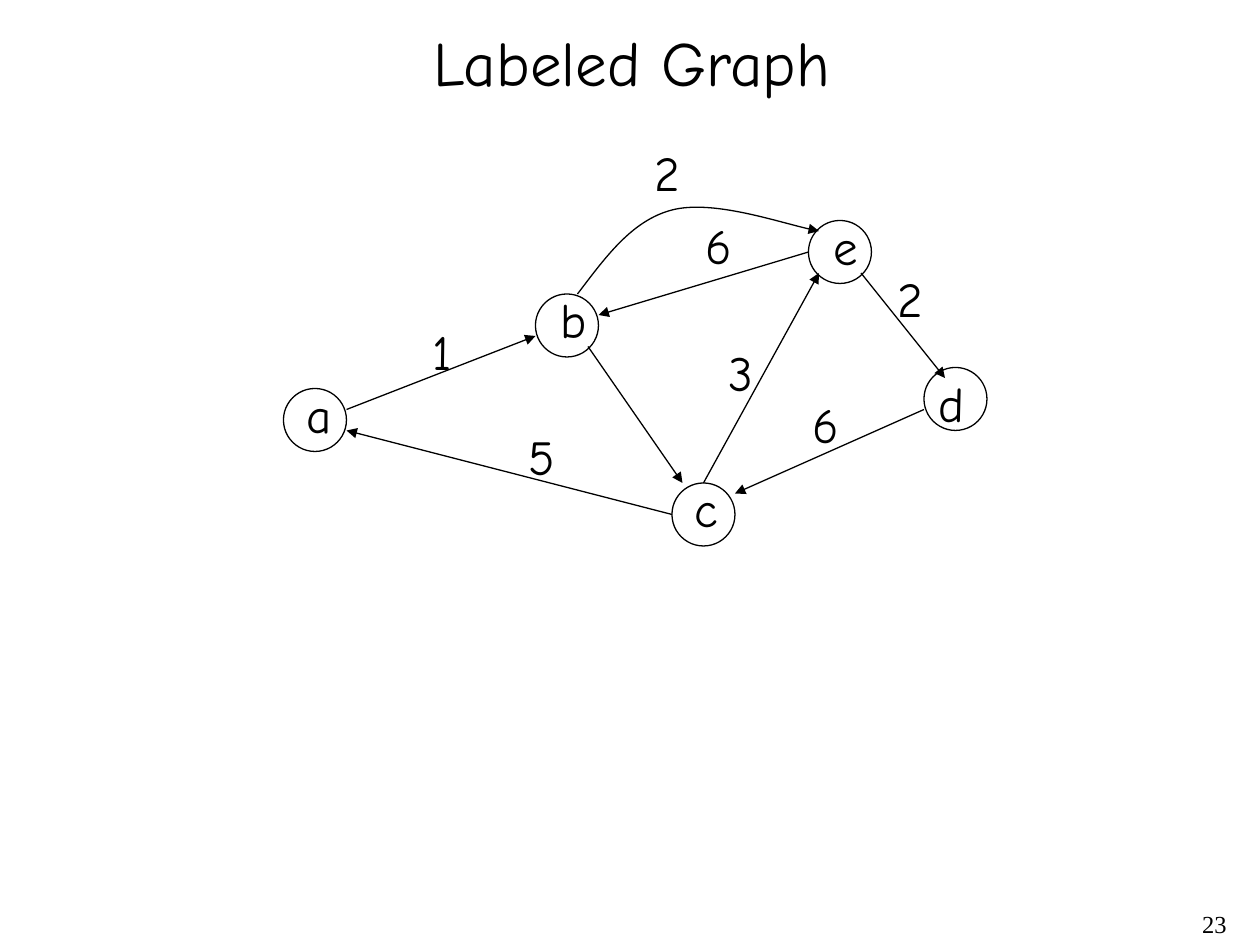
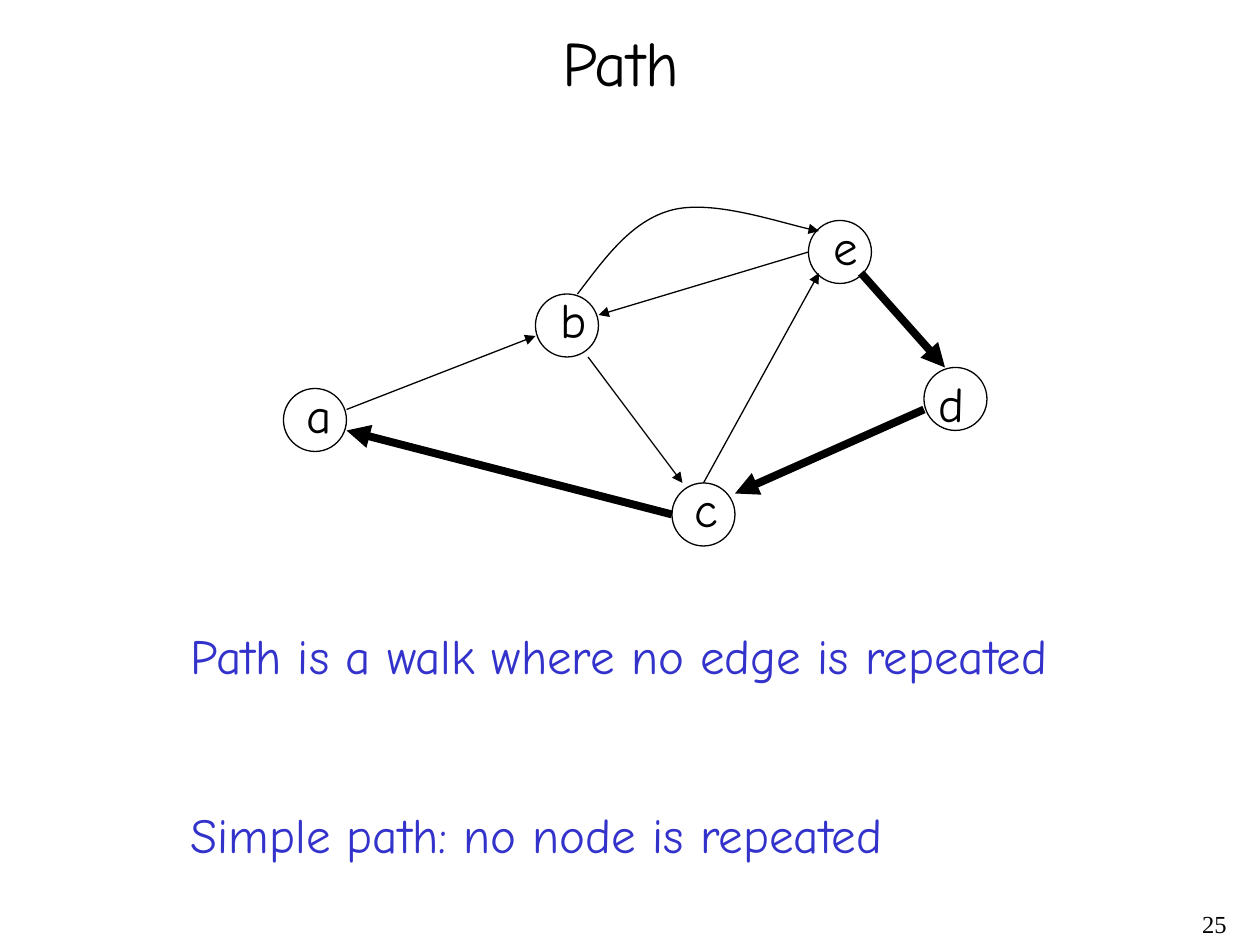
from lxml import etree
from pptx import Presentation
from pptx.dml.color import RGBColor
from pptx.enum import shapes, text
from pptx.oxml import ns
from pptx.util import Pt

BLACK, BLUE = "000000", "3333CC"
HAND, SERIF = "Comic Neue", "Times New Roman"
THIN, THICK = 0.75, 4.5
NODE_SIZE, LETTER_SIZE = 36, 28
LETTER_BOX = (29, 41)
GRAPH_ORIGIN = (162, 78)

# All graph places are points from the graph's top left corner.
# Node: left, top, then the shift of its letter
NODES = {
    "a": (0, 144, 6, -6),
    "b": (144, 90, 7, -6),
    "c": (222, 198, 6, -6),
    "d": (366, 132, 1, 0),
    "e": (300, 48, 7, -6),
}
EDGES = {
    "ab": ((36, 156), (144, 114)),
    "bc": ((174, 120), (228, 198)),
    "ce": ((240, 198), (306, 78)),
    "dc": ((366, 156), (258, 204)),
    "ca": ((222, 216), (36, 168)),
    "ed": ((330, 78), (378, 138)),
    "eb": ((300, 66), (180, 102)),
}
# Start point, then two control points and an end point for each arc
CURVE_BE = [(168, 90), (184, 69), (199, 48), (222, 42), (245, 36), (289, 51), (306, 54)]
# Edge label: text, left, top, width
LABELS = [
    ("1", 78, 102, 25),
    ("3", 247.5, 114, 28),
    ("5", 133, 162, 29.5),
    ("6", 295, 144, 29.5),
    ("2", 343.5, 72, 29),
    ("6", 234, 41.5, 29.5),
    ("2", 205, 0, 29),
]


def colour(value):
    return RGBColor.from_string(value)


def write(shape, *lines, size=LETTER_SIZE, font=HAND, ink=BLACK,
          align=text.PP_ALIGN.LEFT, wrap=False, gap=0):
    """Fill a shape with one paragraph per line, gap points apart."""
    frame = shape.text_frame
    frame.word_wrap = wrap
    frame.auto_size = text.MSO_AUTO_SIZE.NONE
    frame.vertical_anchor = text.MSO_ANCHOR.TOP
    for number, line in enumerate(lines):
        para = frame.add_paragraph() if number else frame.paragraphs[0]
        para.alignment = align
        para.space_before = Pt(gap if number else 0)
        span = para.add_run()
        span.text = line
        span.font.size, span.font.name = Pt(size), font
        span.font.color.rgb = colour(ink)


def add_text(page, box, *lines, **style):
    write(page.shapes.add_textbox(*map(Pt, box)), *lines, **style)


def outline(shape, width=THIN, arrow=False):
    shape.line.color.rgb = colour(BLACK)
    shape.line.width = Pt(width)
    if arrow:
        line = shape.element.spPr.find(ns.qn("a:ln"))
        etree.SubElement(line, ns.qn("a:tailEnd"), type="triangle")


def on_graph(x, y):
    return Pt(GRAPH_ORIGIN[0] + x), Pt(GRAPH_ORIGIN[1] + y)


def graph_text(page, x, y, content, width=LETTER_BOX[0]):
    box = (GRAPH_ORIGIN[0] + x, GRAPH_ORIGIN[1] + y, width, LETTER_BOX[1])
    add_text(page, box, content)


def add_node(page, name):
    left, top, shift_x, shift_y = NODES[name]
    circle = page.shapes.add_shape(shapes.MSO_SHAPE.OVAL, *on_graph(left, top),
                                   Pt(NODE_SIZE), Pt(NODE_SIZE))
    circle.shadow.inherit = False
    circle.fill.background()
    outline(circle)
    graph_text(page, left + shift_x, top + shift_y, name)


def add_edge(page, start, end, width):
    edge = page.shapes.add_connector(shapes.MSO_CONNECTOR.STRAIGHT,
                                     *on_graph(*start), *on_graph(*end))
    outline(edge, width, arrow=True)
    etree.SubElement(edge.element.spPr, ns.qn("a:effectLst"))


def add_curved_edge(page, points):
    """Build an open outline and turn each three segments into one cubic arc."""
    start, *rest = [on_graph(*point) for point in points]
    builder = page.shapes.build_freeform(*start)
    builder.add_line_segments(rest, close=False)
    curve = builder.convert_to_shape()
    segments = list(curve.element.iter(ns.qn("a:lnTo")))
    for first in range(0, len(segments), 3):
        arc = etree.SubElement(segments[first].getparent(), ns.qn("a:cubicBezTo"))
        for segment in segments[first:first + 3]:
            arc.append(segment[0])
            segment.getparent().remove(segment)
    curve.shadow.inherit = False
    curve.fill.background()
    outline(curve, arrow=True)


def add_graph(page, bold=(), moved=None):
    """Draw the graph; bold names thick edges, moved replaces edge ends."""
    for name in NODES:
        add_node(page, name)
    for name, (start, end) in {**EDGES, **(moved or {})}.items():
        add_edge(page, start, end, THICK if name in bold else THIN)
    add_curved_edge(page, CURVE_BE)


def add_page(deck, title, title_left, title_width, number):
    page = deck.slides.add_slide(deck.slide_layouts[5])
    heading = page.shapes.title
    heading.left, heading.top = Pt(title_left), Pt(10)
    heading.width, heading.height = Pt(title_width), Pt(50.4)
    write(heading, title, size=36)
    add_text(page, (558, 516, 150, 24), number, size=14, font=SERIF,
             align=text.PP_ALIGN.RIGHT, wrap=True)
    return page


def labeled_graph_page(deck):
    page = add_page(deck, "Labeled Graph", 240.5, 242, "23")
    add_graph(page)
    for label, left, top, width in LABELS:
        graph_text(page, left, top, label, width)


def path_page(deck):
    page = add_page(deck, "Path", 314, 83, "25")
    add_graph(page, bold=("ed", "dc", "ca"),
              moved={"bc": ((174, 126), (228, 198)), "ed": ((330, 78), (378, 132))})
    add_text(page, (102, 354, 507, 143),
             "Path is a walk where no edge is repeated",
             "Simple path: no node is repeated", ink=BLUE, gap=68.7)


def main():
    deck = Presentation()
    deck.slide_width, deck.slide_height = Pt(720), Pt(540)
    labeled_graph_page(deck)
    path_page(deck)
    deck.save("out.pptx")


if __name__ == "__main__":
    main()
